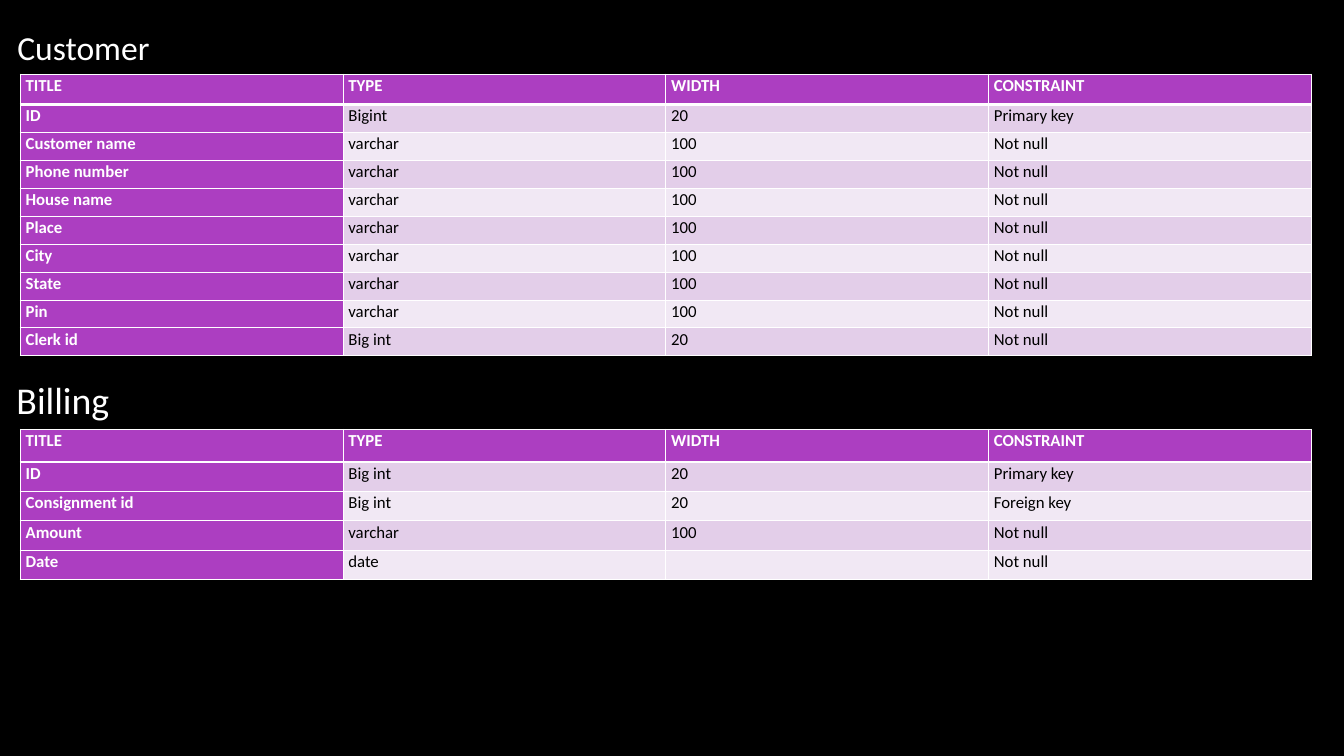
from lxml import etree
from pptx import Presentation
from pptx.dml.color import RGBColor
from pptx.enum.text import MSO_AUTO_SIZE as AutoSize
from pptx.oxml import parse_xml
from pptx.util import Inches, Pt

WHITE, BLACK, PURPLE = "FFFFFF", "000000", "AC3EC1"
BANDS = ["F1E8F4", "E3CEE9"]
COLUMNS = ["TITLE", "TYPE", "WIDTH", "CONSTRAINT"]
CELL_MARGINS = {"margin_left": Inches(0.07), "margin_right": Inches(0.07),
                "margin_top": 0, "margin_bottom": 0}
DRAWING_NS = "http://schemas.openxmlformats.org/drawingml/2006/main"

customer_fields = [["ID", "Bigint", "20", "Primary key"]]
for field in ["Customer name", "Phone number", "House name", "Place", "City", "State", "Pin"]:
    customer_fields.append([field, "varchar", "100", "Not null"])
customer_fields.append(["Clerk id", "Big int", "20", "Not null"])

billing_fields = [
    ["ID", "Big int", "20", "Primary key"],
    ["Consignment id", "Big int", "20", "Foreign key"],
    ["Amount", "varchar", "100", "Not null"],
    ["Date", "date", "", "Not null"],
]

# heading, its box, its size, table top, header height, row height, fields
entities = [
    ("Customer", (0.13, 0.27, 1.99, 0.65), 32, 0.98, 0.4, 0.37, customer_fields),
    ("Billing", (0.12, 4.89, 1.43, 0.72), 36, 5.68, 0.43, 0.39, billing_fields),
]


def write(frame, text, size, color, bold=False):
    """Put one formatted paragraph into a text frame."""
    paragraph = frame.paragraphs[0]
    paragraph.line_spacing = 1.07
    paragraph.space_after = Pt(8)
    if text:
        run = paragraph.add_run()
        run.text = text
        for name, value in {"name": "Calibri", "size": Pt(size), "bold": bold}.items():
            setattr(run.font, name, value)
        run.font.color.rgb = RGBColor.from_string(color)


def add_border(cell, side, points):
    """Draw a white line along one side (L, R, T or B) of a cell."""
    cell._tc.get_or_add_tcPr().append(parse_xml(
        f'<a:ln{side} xmlns:a="{DRAWING_NS}" w="{Pt(points)}">'
        f'<a:solidFill><a:srgbClr val="{WHITE}"/></a:solidFill></a:ln{side}>'))


prs = Presentation()
prs.slide_width, prs.slide_height = Inches(17.78), Inches(10)
slide = prs.slides.add_slide(prs.slide_layouts[6])
slide.background.fill.solid()
slide.background.fill.fore_color.rgb = RGBColor.from_string(BLACK)

for heading, box, size, top, header_height, row_height, fields in entities:
    heading_frame = slide.shapes.add_textbox(*map(Inches, box)).text_frame
    heading_frame.word_wrap = False
    heading_frame.auto_size = AutoSize.SHAPE_TO_FIT_TEXT
    write(heading_frame, heading, size, WHITE)

    rows = [COLUMNS] + fields
    height = header_height + row_height * len(fields)
    table = slide.shapes.add_table(len(rows), len(COLUMNS), Inches(0.27), Inches(top),
                                   Inches(17.08), Inches(height)).table
    table.first_col = True
    for r, values in enumerate(rows):
        table.rows[r].height = Inches(row_height if r else header_height)
        for c, value in enumerate(values):
            cell = table.cell(r, c)
            for name, margin in CELL_MARGINS.items():
                setattr(cell, name, margin)
            for side in "LRTB":
                under_header = (r, side) in [(0, "B"), (1, "T")]
                add_border(cell, side, 3 if under_header else 1)
            is_label = r == 0 or c == 0
            cell.fill.solid()
            cell.fill.fore_color.rgb = RGBColor.from_string(PURPLE if is_label else BANDS[r % 2])
            write(cell.text_frame, value, 16, WHITE if is_label else BLACK, is_label)

prs.save("out.pptx")
